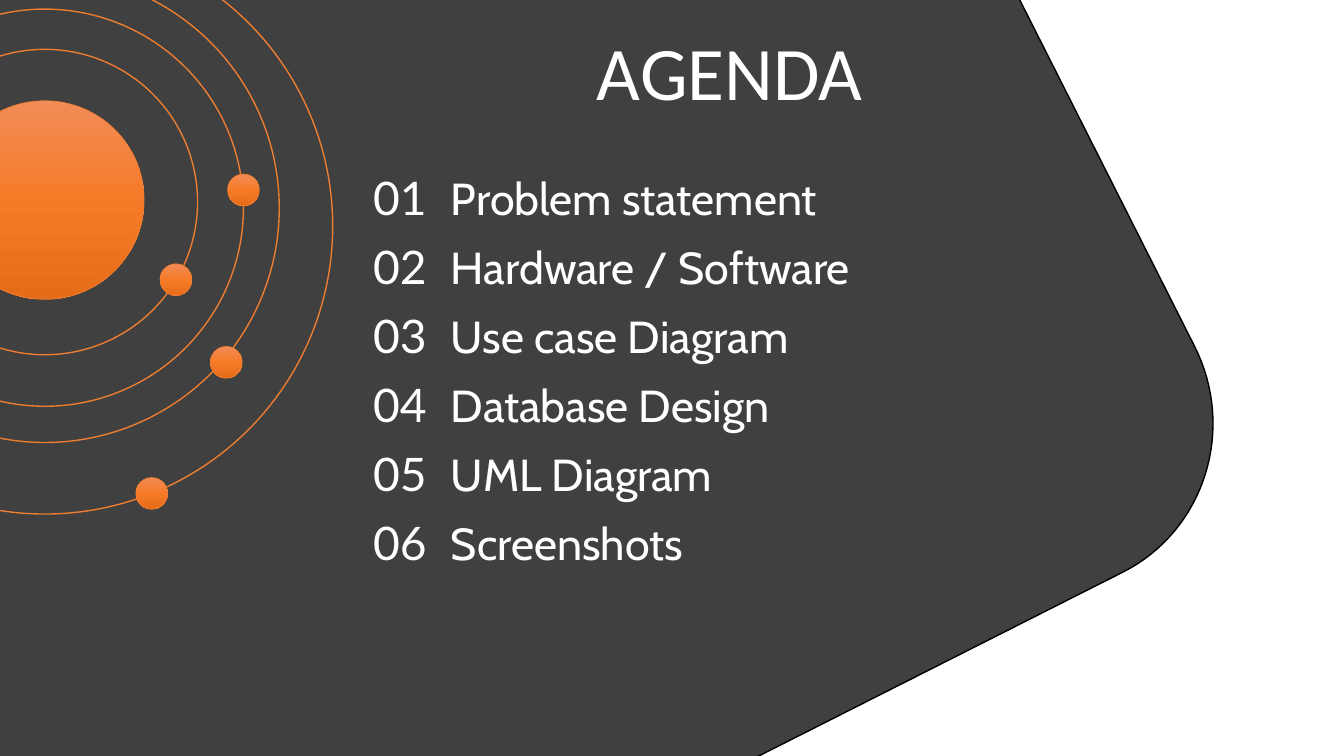
"""Build the agenda slide; lengths are grid cells of one hundredth of the slide height."""
from copy import deepcopy

from pptx import Presentation
from pptx import util as u
from pptx.dml.color import RGBColor
from pptx.enum import shapes, text
from pptx.oxml.ns import qn

CELL = u.Inches(7.5) / 100
WHITE = RGBColor(0xFF, 0xFF, 0xFF)
BLACK = RGBColor(0, 0, 0)
CHARCOAL = RGBColor(0x40, 0x40, 0x40)
ORANGE = RGBColor(0xED, 0x7D, 0x31)
GLOW = [(0, RGBColor(0xF1, 0x8C, 0x57)),
        (0.5, RGBColor(0xF6, 0x7B, 0x28)),
        (1, RGBColor(0xE5, 0x6C, 0x19))]

PANEL_START = [(0.27, -1.33), (134.8, -0.13)]
PANEL_CORNER = [(157.87, 45.6), (163.6, 56.67), (159.33, 70.27), (148.4, 75.73)]
PANEL_END = [(96.13, 102.13), (-1.2, 101.33), (-2, -0.13)]

SUN = (5.93, 26.47, 26.27)
ORBITS = [(5.93, 26.73, 40.4), (5.93, 27.47, 52.53),
          (5.93, 27.53, 62), (5.93, 29.93, 76.13)]
PLANET_SIZE = 4.2
PLANETS = [(32.2, 25.13), (23.27, 37), (29.93, 47.93), (20.07, 65.27)]

TOPICS = ["Problem statement", "Hardware / Software", "Use case Diagram",
          "Database Design", "UML Diagram", "Screenshots"]


def cells(*values):
    """Turn grid cells into lengths."""
    return [u.Emu(round(v * CELL)) for v in values]


def curve(points, steps=32):
    """Return points along a cubic curve."""
    weights = [((1 - t) ** 3, 3 * t * (1 - t) ** 2, 3 * t * t * (1 - t), t ** 3)
               for t in (i / steps for i in range(steps + 1))]
    return [tuple(sum(w * p[axis] for w, p in zip(ws, points)) for axis in (0, 1))
            for ws in weights]


def add_panel(s):
    """Draw the dark panel with its rounded corner."""
    outline = [cells(*p) for p in PANEL_START + curve(PANEL_CORNER) + PANEL_END]
    builder = s.shapes.build_freeform(*outline[0])
    builder.add_line_segments(outline[1:], close=True)
    sp = builder.convert_to_shape()
    sp.shadow.inherit = False
    sp.fill.solid()
    sp.fill.fore_color.rgb = CHARCOAL
    sp.line.color.rgb = BLACK
    sp.line.width = u.Pt(1)


def fill_glow(sp):
    """Fill a shape with the vertical orange gradient."""
    sp.fill.gradient()
    sp.fill.gradient_angle = 270
    stops = sp._element.spPr.find(".//" + qn("a:gsLst"))
    stops.append(deepcopy(stops[0]))
    for stop, (position, color) in zip(sp.fill.gradient_stops, GLOW):
        stop.position = position
        stop.color.rgb = color


def add_circle(group, x, y, size, glowing):
    """Draw a glowing disc or an open orbit around a centre."""
    box = cells(x - size / 2, y - size / 2, size, size)
    sp = group.shapes.add_shape(shapes.MSO_SHAPE.OVAL, *box)
    sp.shadow.inherit = False
    if glowing:
        fill_glow(sp)
    else:
        sp.fill.background()
    sp.line.color.rgb = ORANGE
    sp.line.width = u.Pt(0.5 if glowing else 1)


def add_planets(s):
    """Draw the sun, its orbits and the planets as one group."""
    group = s.shapes.add_group_shape()
    add_circle(group, *SUN, True)
    for orbit in ORBITS:
        add_circle(group, *orbit, False)
    for x, y in PLANETS:
        add_circle(group, x, y, PLANET_SIZE, True)


def place(sp, box, anchor):
    """Move a placeholder and return its text frame."""
    sp.left, sp.top, sp.width, sp.height = cells(*box)
    tf = sp.text_frame
    tf.word_wrap = True
    tf.auto_size = text.MSO_AUTO_SIZE.NONE
    tf.vertical_anchor = anchor
    return tf


def style(r, name, size):
    """Set the font of a run."""
    r.font.name = name
    r.font.size = u.Pt(size)
    r.font.color.rgb = WHITE


def set_title(s):
    """Write the heading."""
    tf = place(s.shapes.title, (77.6, 1.2, 42.53, 14.93), text.MSO_ANCHOR.BOTTOM)
    tf.text = "AGENDA"
    p = tf.paragraphs[0]
    p.alignment = text.PP_ALIGN.LEFT
    p.line_spacing = 0.9
    style(p.runs[0], "Calibri", 54)


def set_topics(s):
    """Write the numbered topics with a hanging indent."""
    tf = place(s.placeholders[1], (48, 20, 80, 57), text.MSO_ANCHOR.TOP)
    indent = cells(10.3)[0]
    for number, topic in enumerate(TOPICS, 1):
        p = tf.paragraphs[0] if number == 1 else tf.add_paragraph()
        pPr = p._p.get_or_add_pPr()
        pPr.set("marL", str(indent))
        pPr.set("indent", str(-indent))
        p.line_spacing = u.Pt(49.2)
        p.space_before = p.space_after = u.Pt(0)
        pPr.append(pPr.makeelement(qn("a:buNone"), {}))
        for words, name, size in ((f"{number:02}\t", "Lato", 33), (topic, "Cabin", 32)):
            r = p.add_run()
            r.text = words
            style(r, name, size)


def main():
    """Build and save the slide."""
    prs = Presentation()
    prs.slide_width, prs.slide_height = u.Inches(13.33), u.Inches(7.5)
    s = prs.slides.add_slide(prs.slide_layouts[1])
    add_panel(s)
    add_planets(s)
    set_title(s)
    set_topics(s)
    tree = s.shapes._spTree
    for sp in (s.shapes.title, s.placeholders[1]):
        tree.append(sp._element)
    prs.save("out.pptx")


if __name__ == "__main__":
    main()
